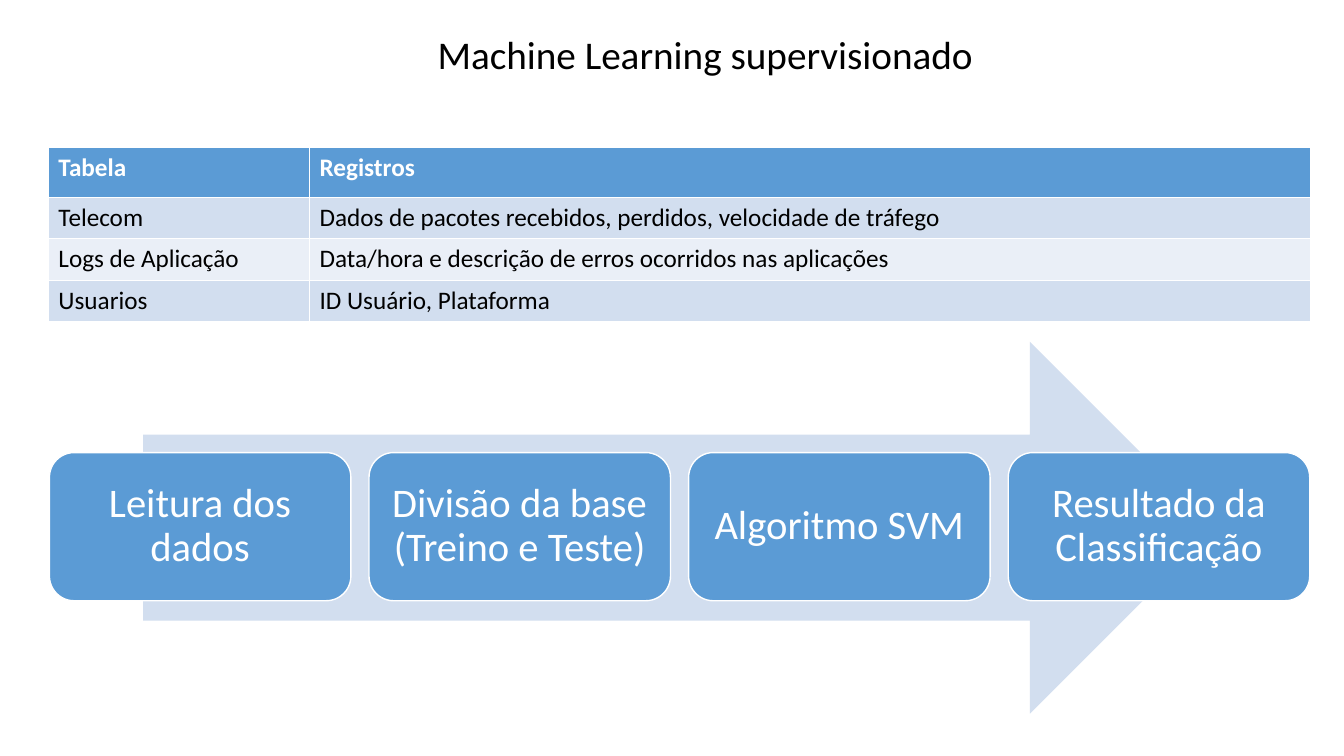
"""Build the supervised machine learning slide: a data table and a process arrow."""
from pptx import Presentation
from pptx.dml.color import RGBColor
from pptx.enum import shapes, text
from pptx.util import Inches, Pt

BLACK = RGBColor(0x00, 0x00, 0x00)
WHITE = RGBColor(0xFF, 0xFF, 0xFF)
BLUE = RGBColor(0x5B, 0x9B, 0xD5)
LIGHT = RGBColor(0xD2, 0xDE, 0xEF)
PALE = RGBColor(0xEA, 0xEF, 0xF7)


def write(para, words, size, color, bold=False):
    run = para.add_run()
    run.text = words
    run.font.name = "Calibri"
    run.font.size = Pt(size)
    run.font.bold = bold
    run.font.color.rgb = color


def draw(group, kind, box, fill):
    shape = group.shapes.add_shape(kind, *map(Inches, box))
    shape.shadow.inherit = False
    shape.fill.solid()
    shape.fill.fore_color.rgb = fill
    shape.line.fill.background()
    return shape


prs = Presentation()
prs.slide_width, prs.slide_height = Inches(13.33), Inches(7.5)
slide = prs.slides.add_slide(prs.slide_layouts[5])

title = slide.shapes.title
title.left, title.top = Inches(4.24), Inches(0.25)
title.width, title.height = Inches(5.66), Inches(0.57)
frame = title.text_frame
frame.auto_size = text.MSO_AUTO_SIZE.NONE
frame.word_wrap = False
frame.vertical_anchor = text.MSO_ANCHOR.TOP
frame.paragraphs[0].alignment = text.PP_ALIGN.LEFT
write(frame.paragraphs[0], "Machine Learning supervisionado", 28, BLACK)

flow = slide.shapes.add_group_shape()
draw(flow, shapes.MSO_SHAPE.RIGHT_ARROW, (1.42, 3.39, 10.64, 3.69), LIGHT)
steps = ["Leitura dos dados", "Divisão da base (Treino e Teste)",
         "Algoritmo SVM", "Resultado da Classificação"]
for i, step in enumerate(steps):
    card = draw(flow, shapes.MSO_SHAPE.ROUNDED_RECTANGLE,
                (0.49 + 3.17 * i, 4.49, 2.99, 1.47), BLUE)
    card.line.color.rgb = WHITE
    card.line.width = Pt(1)
    frame = card.text_frame
    frame.word_wrap = True
    frame.vertical_anchor = text.MSO_ANCHOR.MIDDLE
    frame.margin_left = frame.margin_right = Inches(0.12)
    frame.margin_top = frame.margin_bottom = Inches(0.12)
    para = frame.paragraphs[0]
    para.alignment = text.PP_ALIGN.CENTER
    para.line_spacing = 0.9
    write(para, step, 29, WHITE)

rows = [
    ("Tabela", "Registros"),
    ("Telecom", "Dados de pacotes recebidos, perdidos, velocidade de tráfego"),
    ("Logs de Aplicação", "Data/hora e descrição de erros ocorridos nas aplicações"),
    ("Usuarios", "ID Usuário, Plataforma"),
]
fills = [BLUE, LIGHT, PALE, LIGHT]
table = slide.shapes.add_table(4, 2, Inches(0.48), Inches(1.46),
                               Inches(12.52), Inches(1.72)).table
for col, width in zip(table.columns, (2.59, 9.93)):
    col.width = Inches(width)
for r, row in enumerate(rows):
    head = r == 0
    table.rows[r].height = Inches(0.5 if head else 0.41)
    for c, words in enumerate(row):
        cell = table.cell(r, c)
        cell.fill.solid()
        cell.fill.fore_color.rgb = fills[r]
        write(cell.text_frame.paragraphs[0], words, 18,
              WHITE if head else BLACK, head)

prs.save("out.pptx")
